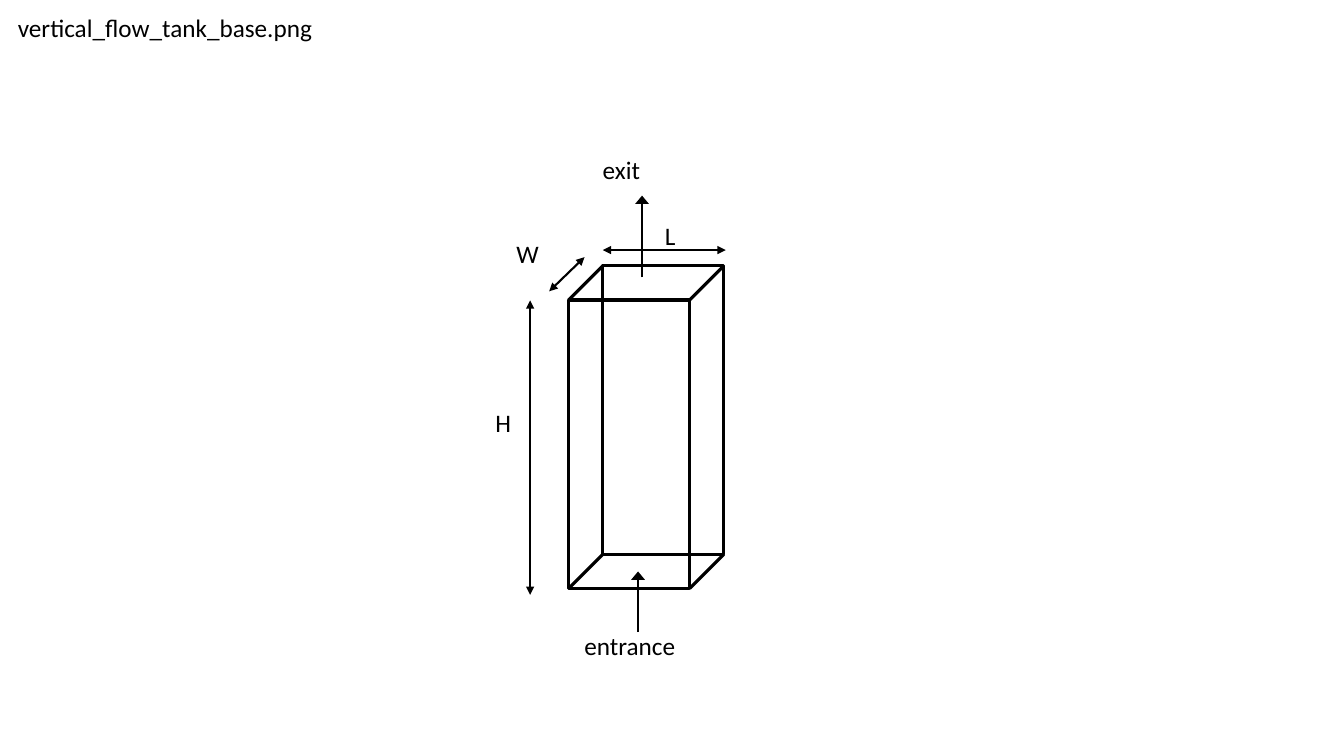
from lxml import etree
from pptx import Presentation
from pptx.dml.color import RGBColor
from pptx.enum.shapes import MSO_CONNECTOR as Connector, MSO_SHAPE as Shape
from pptx.enum.text import MSO_ANCHOR as Anchor, MSO_AUTO_SIZE as AutoSize, PP_ALIGN as Align
from pptx.oxml.ns import qn
from pptx.util import Cm, Pt

COLORS = {"ink": "000000", "paper": "FFFFFF"}
INK = RGBColor.from_string(COLORS["ink"])


def add_line(start, end, weight, heads=(), head_width="med"):
    line = slide.shapes.add_connector(Connector.STRAIGHT, *[Cm(value) for value in start + end])
    line.line.color.rgb = INK
    line.line.width = Pt(weight)
    for head in heads:
        etree.SubElement(line.line._get_or_add_ln(), qn(f"a:{head}"),
                         type="triangle", w=head_width, len="med")
    etree.SubElement(line._element.spPr, qn("a:effectLst"))


def write_label(shape, text, align, anchor):
    frame = shape.text_frame
    frame.text = text
    frame.word_wrap = False
    frame.auto_size = AutoSize.NONE
    frame.vertical_anchor = anchor
    frame.margin_left = frame.margin_right = Cm(0.25)
    frame.margin_top = frame.margin_bottom = Cm(0.13)
    paragraph = frame.paragraphs[0]
    paragraph.alignment = align
    paragraph.line_spacing = 1.0
    font = paragraph.runs[0].font
    font.name = "Calibri"
    font.size = Pt(18)
    font.color.rgb = INK


presentation = Presentation()
presentation.slide_width = Cm(33.87)
presentation.slide_height = Cm(19.05)
slide = presentation.slides.add_slide(presentation.slide_layouts[5])
slide.background.fill.solid()
slide.background.fill.fore_color.rgb = RGBColor.from_string(COLORS["paper"])

title = slide.shapes.title
title.left, title.top, title.width, title.height = Cm(0.2), Cm(0.18), Cm(8.03), Cm(1.02)
write_label(title, "vertical_flow_tank_base.png", Align.LEFT, Anchor.TOP)

tank_left, tank_top, tank_length, tank_height, depth = 14.33, 7.56, 3.05, 7.27, 0.86
for offset in (depth, 0):
    face = slide.shapes.add_shape(Shape.RECTANGLE, Cm(tank_left + offset), Cm(tank_top - offset),
                                  Cm(tank_length), Cm(tank_height))
    face.shadow.inherit = False
    face.fill.background()
    face.line.color.rgb = INK
    face.line.width = Pt(2.25)

for x in (tank_left, tank_left + tank_length):
    for y in (tank_top, tank_top + tank_height):
        add_line((x, y), (x + depth, y - depth), 2.25)

dimension_arrows = [
    ((13.36, 14.99), (13.36, 7.57)),
    ((18.29, 6.3), (15.19, 6.3)),
    ((14.73, 6.48), (13.84, 7.34)),
]
for start, end in dimension_arrows:
    add_line(start, end, 1.5, ("headEnd", "tailEnd"))

flow_arrows = [((16.08, 15.93), (16.08, 14.4)), ((16.18, 6.99), (16.18, 4.93))]
for start, end in flow_arrows:
    add_line(start, end, 1, ("tailEnd",), "lg")

labels = [
    ("H", 12.07, 9.93, 1.22, Align.CENTER, Anchor.MIDDLE),
    ("W", 12.57, 5.66, 1.45, Align.CENTER, Anchor.MIDDLE),
    ("L", 16.33, 5.21, 1.12, Align.CENTER, Anchor.MIDDLE),
    ("entrance", 14.48, 15.75, 3.89, Align.LEFT, Anchor.TOP),
    ("exit", 14.94, 3.76, 2.01, Align.LEFT, Anchor.TOP),
]
for text, left, top, width, align, anchor in labels:
    label = slide.shapes.add_textbox(Cm(left), Cm(top), Cm(width), Cm(1.45))
    write_label(label, text, align, anchor)

presentation.save("out.pptx")
